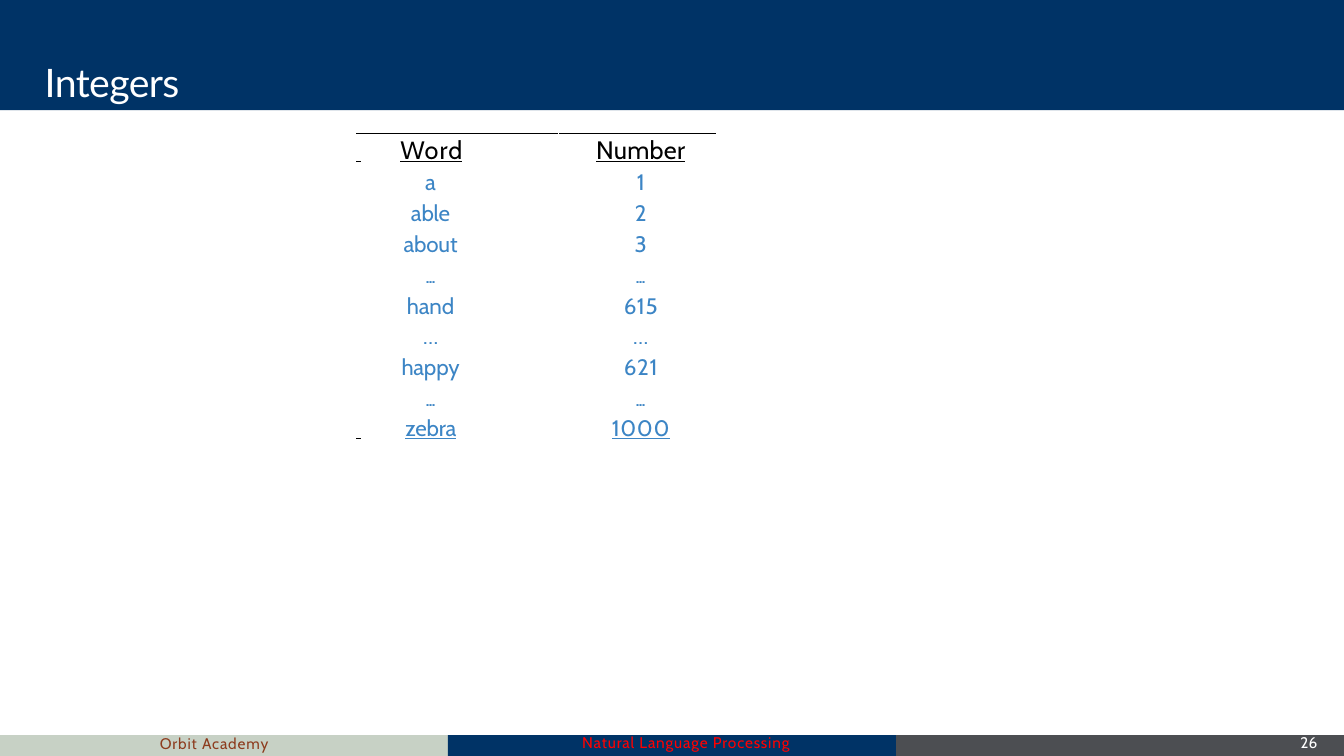
"""Build the slide that maps words to integers."""
import lxml.etree
import pptx
import pptx.dml.color
import pptx.enum.shapes
import pptx.enum.text
import pptx.oxml.ns
import pptx.util

Pt = pptx.util.Pt
RGB = pptx.dml.color.RGBColor
qn = pptx.oxml.ns.qn
ALIGN = pptx.enum.text.PP_ALIGN

NAVY = RGB(0x00, 0x33, 0x66)
SAGE = RGB(0xC7, 0xD1, 0xC5)
GREY = RGB(0x4C, 0x4E, 0x52)
BLUE = RGB(0x3C, 0x85, 0xC5)
RUST = RGB(0x8D, 0x3C, 0x1E)
RED = RGB(0xFF, 0x00, 0x00)
WHITE = RGB(0xFF, 0xFF, 0xFF)
BLACK = RGB(0x00, 0x00, 0x00)

WIDE, HIGH = 960, 540
FOOT_TOP = 525
BARS = [
    (0, FOOT_TOP, 320, 15, SAGE),
    (640, FOOT_TOP, 320, 15, GREY),
    (320, FOOT_TOP, 320, 15, NAVY),
    (0, 0, WIDE, 78.6, NAVY),
]
NOTES = [
    ("Natural Language Processing", 415, 531.4, 172, RED, 0.6),
    ("Orbit Academy", 113.3, 532, 172, RUST, 0.6),
    ("26", 928, 531.4, 31, WHITE, 0),
]
ROWS = [
    ("Word", "Number"),
    ("a", "1"),
    ("able", "2"),
    ("about", "3"),
    ("...", "..."),
    ("hand", "615"),
    ("…", "…"),
    ("happy", "621"),
    ("...", "..."),
    ("zebra", "1000"),
]
COLS = (144.7, 113.1)
TABS = {0: 31.7, len(ROWS) - 1: 35.3}
STEP = 22.05
HEAD = 24.5
LAST = 20.9


def apply(item, form):
    """Set each attribute named in a dict of format values."""
    for name, value in form.items():
        setattr(item, name, value)


def add_run(para, text, form, color, gap=0):
    """Add a run with its font, colour and letter spacing."""
    run = para.add_run()
    run.text = text
    apply(run.font, form)
    run.font.color.rgb = color
    run.font._element.set("spc", str(round(gap * 100)))


def add_bar(slide, left, top, width, height, color):
    """Add a plain filled rectangle."""
    kind = pptx.enum.shapes.MSO_SHAPE.RECTANGLE
    bar = slide.shapes.add_shape(kind, Pt(left), Pt(top), Pt(width), Pt(height))
    bar.shadow.inherit = False
    bar.fill.solid()
    bar.fill.fore_color.rgb = color
    bar.line.fill.background()


def add_text(slide, text, place, form, color, gap, layout):
    """Add a text box of one line without insets."""
    box = slide.shapes.add_textbox(*map(Pt, place))
    frame = box.text_frame
    apply(frame, {
        "margin_left": 0, "margin_right": 0, "margin_top": 0,
        "margin_bottom": 0, "word_wrap": True,
    })
    para = frame.paragraphs[0]
    apply(para, layout)
    para._p.get_or_add_pPr().set("marL", str(Pt(0.9)))
    add_run(para, text, form, color, gap)


def add_rule(cell):
    """Draw a thin black line on the top of a cell."""
    line = lxml.etree.Element(qn("a:lnT"), w=str(Pt(0.75)))
    fill = lxml.etree.SubElement(line, qn("a:solidFill"))
    lxml.etree.SubElement(fill, qn("a:srgbClr"), val=str(BLACK))
    cell._tc.get_or_add_tcPr().insert(0, line)


def add_tab(para, place):
    """Give a paragraph one left tab stop."""
    tabs = lxml.etree.SubElement(para._p.get_or_add_pPr(), qn("a:tabLst"))
    lxml.etree.SubElement(tabs, qn("a:tab"), pos=str(Pt(place)), algn="l")


def fill_cell(cell, text, row, col):
    """Write one entry of the table."""
    apply(cell, {
        "margin_left": 0, "margin_right": 0 if col else Pt(42.5),
        "margin_top": Pt(1.4), "margin_bottom": 0,
    })
    cell.fill.background()
    head, edge = row == 0, row in TABS
    form = {"name": "Cabin", "size": Pt(18 if head else 16), "underline": edge}
    para = cell.text_frame.paragraphs[0]
    apply(para, {"space_before": Pt(1.2), "alignment": ALIGN.CENTER})
    if edge and not head:
        para.line_spacing = Pt(18.4)
    if edge and not col:
        para.alignment = ALIGN.LEFT
        add_tab(para, TABS[row])
        add_run(para, " \t", form, BLACK)
    else:
        para._p.get_or_add_pPr().set("marL", str(Pt(4.5)))
    gap = 0
    if text == "...":
        gap = -1.1
    elif head:
        gap = 0.2 if col else 0.7
    elif len(text) > 2:
        gap = 0.5 if col else -0.1
    add_run(para, text, form, BLACK if head else BLUE, gap)
    if head:
        add_rule(cell)


def add_words(slide):
    """Add the table of words and their numbers."""
    high = HEAD + STEP * (len(ROWS) - 2) + LAST
    place = map(Pt, (254.2, 95, sum(COLS), high))
    table = slide.shapes.add_table(len(ROWS), len(COLS), *place).table
    apply(table, {"first_row": False, "horz_banding": False})
    for col, width in zip(table.columns, COLS):
        col.width = Pt(width)
    sizes = [HEAD] + [STEP] * (len(ROWS) - 2) + [LAST]
    for row, texts in enumerate(ROWS):
        table.rows[row].height = Pt(sizes[row])
        for col, text in enumerate(texts):
            fill_cell(table.cell(row, col), text, row, col)


def main():
    """Build and save the slide."""
    deck = pptx.Presentation()
    apply(deck, {"slide_width": Pt(WIDE), "slide_height": Pt(HIGH)})
    slide = deck.slides.add_slide(deck.slide_layouts[6])
    for bar in BARS:
        add_bar(slide, *bar)
    small = {"name": "Cabin", "size": Pt(11)}
    for text, left, top, width, color, gap in NOTES:
        add_text(slide, text, (left, top, width, 7.2), small, color, gap,
                 {"line_spacing": Pt(5.8)})
    add_text(slide, "Integers", (31, 41.8, 110, 35),
             {"name": "Lato", "size": Pt(28)}, WHITE, -0.4,
             {"space_before": Pt(0.9)})
    add_words(slide)
    deck.save("out.pptx")


if __name__ == "__main__":
    main()
